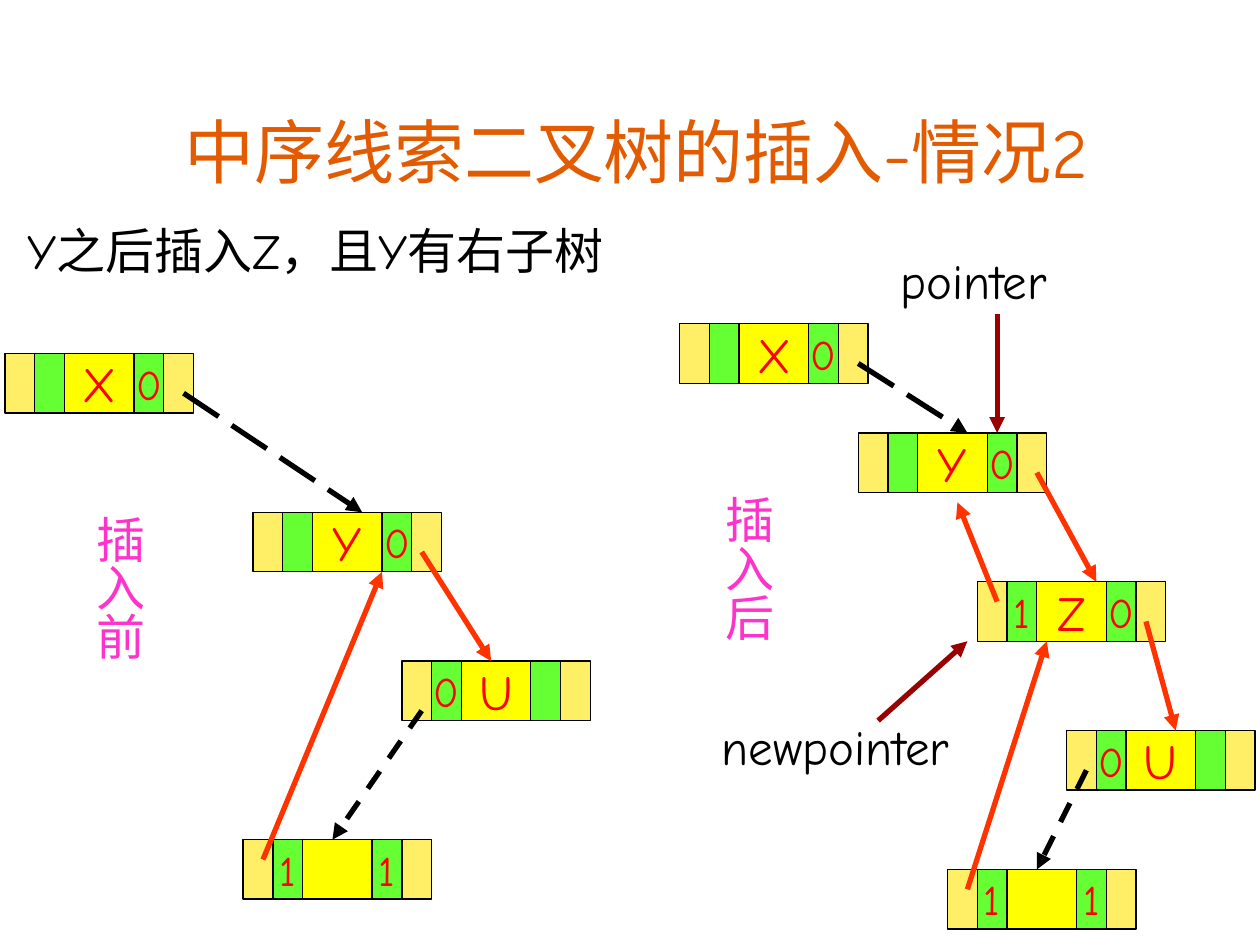
from lxml.etree import SubElement
from pptx import Presentation
from pptx.dml.color import RGBColor
from pptx.enum.dml import MSO_LINE
from pptx.enum.shapes import MSO_CONNECTOR, MSO_SHAPE
from pptx.enum.text import MSO_ANCHOR, MSO_AUTO_SIZE, PP_ALIGN
from pptx.oxml.ns import qn
from pptx.util import Inches, Mm, Pt

BLACK = RGBColor(0x00, 0x00, 0x00)
ORANGE = RGBColor(0xE2, 0x5B, 0x00)
CREAM = RGBColor(0xFF, 0xEF, 0x66)
GREEN = RGBColor(0x66, 0xFF, 0x33)
YELLOW = RGBColor(0xFF, 0xFF, 0x00)
RED = RGBColor(0xFF, 0x00, 0x00)
SCARLET = RGBColor(0xFF, 0x33, 0x00)
MAROON = RGBColor(0x99, 0x00, 0x00)
PINK = RGBColor(0xFF, 0x33, 0xCC)

CELL_STYLES = [(3, CREAM, 24), (3, GREEN, 24), (7, YELLOW, 28), (3, GREEN, 24), (3, CREAM, 24)]
NODE_ROWS = 6

NODES_BEFORE = [
    (0, 35, "", "X", "0"),
    (25, 51, "", "Y", "0"),
    (40, 66, "0", "U", ""),
    (24, 84, "1", "", "1"),
]
NODES_AFTER = [
    (68, 32, "", "X", "0"),
    (86, 43, "", "Y", "0"),
    (98, 58, "1", "Z", "0"),
    (107, 73, "0", "U", ""),
    (95, 87, "1", "", "1"),
]
OMITTED_PATHS = [((18, 39), (36, 51)), ((86, 36), (97, 43))]
SUBTREE_PATHS = [((42, 71), (33, 84)), ((109, 77), (104, 87))]
LINKS = [
    ((42, 55), (49, 66)),
    ((26, 86), (38, 57)),
    ((104, 47), (110, 58)),
    ((115, 62), (118, 73)),
    ((100, 60), (96, 50)),
    ((97, 89), (105, 64)),
]
POINTERS = [((88, 72), (97, 64)), ((100, 31), (100, 43))]


class ThreadedTreeSlide:
    font_name = "Comic Neue"
    unit = Mm(2)
    left_margin = Inches(0.04)
    top_margin = Inches(0.05)

    def __init__(self, presentation):
        self.width = presentation.slide_width
        self.height = presentation.slide_height
        self.slide = presentation.slides.add_slide(presentation.slide_layouts[5])
        self.shapes = self.slide.shapes

    def place(self, column, row):
        return (self.left_margin + int(column * self.unit),
                self.top_margin + int(row * self.unit))

    def span(self, columns, rows):
        return int(columns * self.unit), int(rows * self.unit)

    def set_text(self, frame, text, size, color, alignment):
        frame.text = text
        paragraph = frame.paragraphs[0]
        paragraph.alignment = alignment
        paragraph.space_before = Pt(0)
        paragraph.font.name = self.font_name
        paragraph.font.size = Pt(size)
        paragraph.font.color.rgb = color

    def title(self, text):
        title = self.shapes.title
        title.left, title.top = int(self.width * 0.075), int(self.height * 0.1)
        title.width, title.height = int(self.width * 0.86), int(self.height * 0.11)
        frame = title.text_frame
        frame.auto_size = MSO_AUTO_SIZE.NONE
        frame.vertical_anchor = MSO_ANCHOR.BOTTOM
        self.set_text(frame, text, 40, ORANGE, PP_ALIGN.CENTER)

    def cell(self, column, row, columns, fill, text, size):
        shape = self.shapes.add_shape(
            MSO_SHAPE.RECTANGLE, *self.place(column, row), *self.span(columns, NODE_ROWS))
        shape.shadow.inherit = False
        shape.fill.solid()
        shape.fill.fore_color.rgb = fill
        shape.line.color.rgb = BLACK
        shape.line.width = Pt(0.75)
        if text:
            frame = shape.text_frame
            frame.word_wrap = False
            frame.vertical_anchor = MSO_ANCHOR.MIDDLE
            self.set_text(frame, text, size, RED, PP_ALIGN.CENTER)

    def node(self, column, row, left_tag, value, right_tag):
        texts = ("", left_tag, value, right_tag, "")
        for (columns, fill, size), text in zip(CELL_STYLES, texts):
            self.cell(column, row, columns, fill, text, size)
            column += columns

    def arrow(self, start, end, color, dash=None):
        connector = self.shapes.add_connector(
            MSO_CONNECTOR.STRAIGHT, *self.place(*start), *self.place(*end))
        line = connector.line
        line.color.rgb = color
        line.width = Pt(3)
        if dash:
            line.dash_style = dash
        properties = connector._element.spPr
        SubElement(properties.find(qn("a:ln")), qn("a:tailEnd"), type="triangle")
        SubElement(properties, qn("a:effectLst"))

    def label(self, column, row, columns, text, rows=7.2, color=BLACK, vertical=False):
        box = self.shapes.add_textbox(*self.place(column, row), *self.span(columns, rows))
        frame = box.text_frame
        frame.word_wrap = True
        frame.auto_size = MSO_AUTO_SIZE.SHAPE_TO_FIT_TEXT
        if vertical:
            frame.margin_left = frame.margin_right = Inches(0.05)
            frame.margin_top = frame.margin_bottom = Inches(0.1)
            frame._txBody.bodyPr.set("vert", "eaVert")
        self.set_text(frame, text, 28, color, PP_ALIGN.LEFT)


def main():
    presentation = Presentation()
    presentation.slide_width, presentation.slide_height = Inches(10), Inches(7.5)
    tree = ThreadedTreeSlide(presentation)
    tree.title("中序线索二叉树的插入-情况2")
    for node in NODES_BEFORE + NODES_AFTER:
        tree.node(*node)
    for paths, color, dash in (
        (OMITTED_PATHS, BLACK, MSO_LINE.LONG_DASH),
        (SUBTREE_PATHS, BLACK, MSO_LINE.DASH),
        (LINKS, SCARLET, None),
        (POINTERS, MAROON, None),
    ):
        for start, end in paths:
            tree.arrow(start, end, color, dash)
    tree.label(1, 21, 100, "Y之后插入Z，且Y有右子树")
    tree.label(6.7, 50, 8.4, "插入前", rows=27, color=PINK, vertical=True)
    tree.label(70.1, 48, 8.4, "插入后", rows=27, color=PINK, vertical=True)
    tree.label(89, 24, 22, "pointer")
    tree.label(71, 71, 31, "newpointer")
    presentation.save("out.pptx")


if __name__ == "__main__":
    main()
